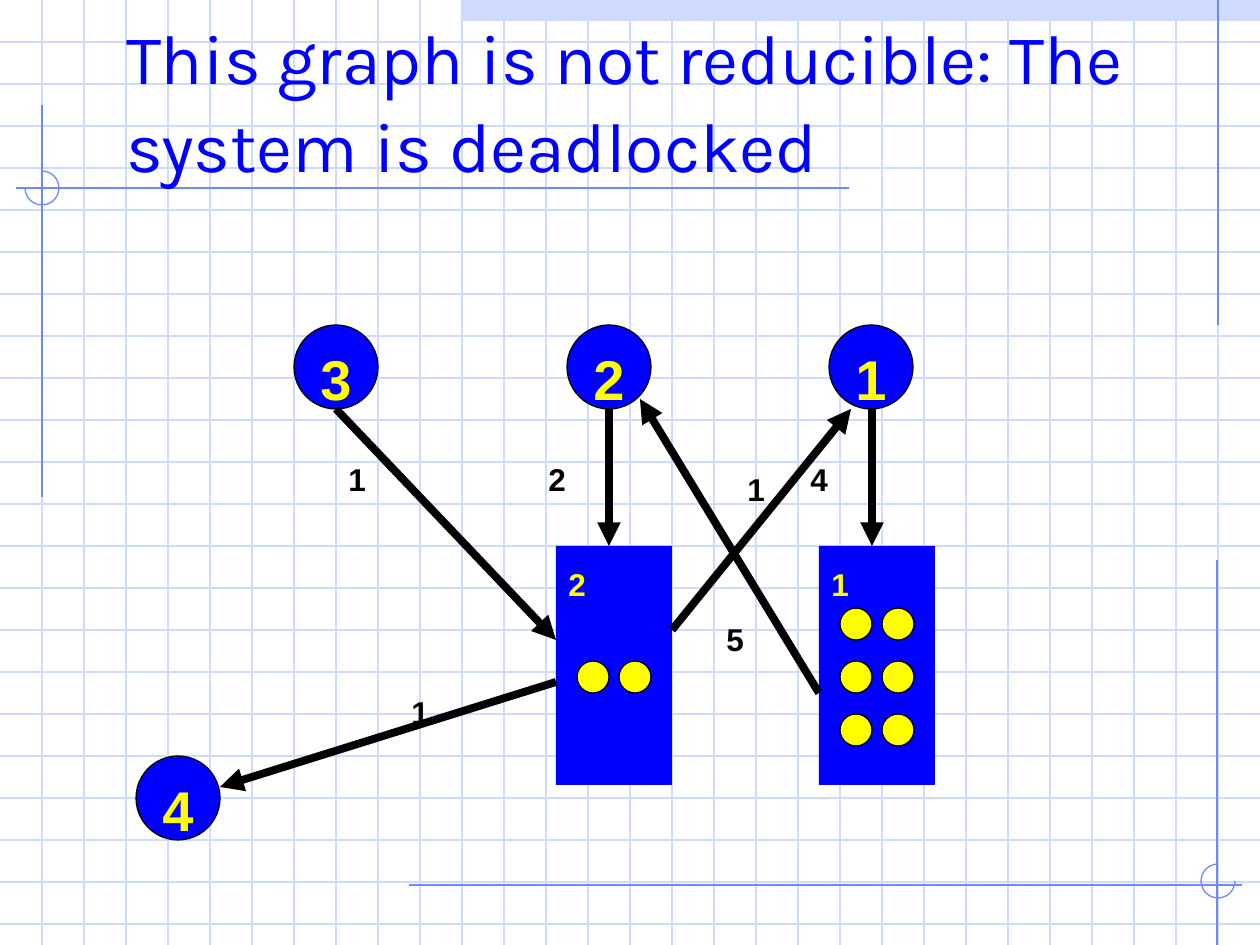
from lxml.etree import SubElement
from pptx import Presentation
from pptx.dml.color import RGBColor
from pptx.enum.shapes import MSO_CONNECTOR as Connector, MSO_SHAPE as Shape
from pptx.enum.text import MSO_ANCHOR as Anchor, MSO_AUTO_SIZE as AutoSize, PP_ALIGN as Align
from pptx.oxml.ns import qn
from pptx.util import Pt

SCALE = 914400 / 126
WIDTH, HEIGHT, CELL = 1260, 945, 42
BLUE, YELLOW, BLACK, PALE, RULE = "0000FF", "FFFF00", "000000", "CFDBFD", "6F89F7"

TITLE = "This graph is not reducible: The system is deadlocked"
BAND = (461, 0, 799, 21)
RULES = [
    ((1218, 0), (1218, 325)),
    ((42, 105), (42, 497)),
    ((849, 188), (16, 188)),
    ((409, 885), (1242, 885)),
    ((1217, 560), (1217, 945)),
]
CORNER_ARCS = [((25, 171), 270, 180), ((1201, 864), 0, 270)]
ARC_SIZE = 34

PROCESSES = [("1", 829, 325), ("2", 567, 325), ("3", 294, 325), ("4", 136, 756)]
PROCESS_SIZE = 84
RESOURCES = [("1", 819, 546, (0, 1, 2)), ("2", 556, 546, (1,))]
RESOURCE_SIZE = (116, 239)
UNIT_SIZE, UNIT_LEFT, UNIT_TOP, UNIT_STEP_X, UNIT_STEP_Y = 32, 21, 62, 42, 53
LABELS = [
    ("4", 798, 441, 63),
    ("2", 536, 441, 63),
    ("1", 336, 441, 32),
    ("1", 735, 451, 63),
    ("1", 399, 674, 63),
    ("5", 714, 601, 63),
]
LABEL_HEIGHT = 50
ARROWS = [
    ((872, 409), (872, 546)),
    ((609, 409), (609, 546)),
    ((336, 409), (556, 640)),
    ((672, 630), (851, 409)),
    ((556, 682), (220, 787)),
    ((819, 693), (640, 399)),
]


def px(value):
    return round(value * SCALE)


def rgb(color):
    return RGBColor.from_string(color)


def add_shape(slide, kind, left, top, width, height, fill=None, line=None):
    shape = slide.shapes.add_shape(kind, px(left), px(top), px(width), px(height))
    shape.shadow.inherit = False
    if fill:
        shape.fill.solid()
        shape.fill.fore_color.rgb = rgb(fill)
    else:
        shape.fill.background()
    if line:
        shape.line.color.rgb = rgb(line)
        shape.line.width = Pt(0.75)
    else:
        shape.line.fill.background()
    return shape


def add_line(slide, start, end, color, width=0.75, arrow=False):
    line = slide.shapes.add_connector(Connector.STRAIGHT, *map(px, start + end))
    line.line.color.rgb = rgb(color)
    line.line.width = Pt(width)
    properties = line._element.spPr
    if arrow:
        SubElement(properties.find(qn("a:ln")), qn("a:tailEnd"), type="triangle")
    SubElement(properties, qn("a:effectLst"))


def write(box, text, size, color, font="Arial", bold=True, align=Align.LEFT,
          anchor=Anchor.TOP, spacing=1.34, wrap=True):
    frame = box.text_frame
    frame.word_wrap = wrap
    frame.auto_size = AutoSize.NONE
    frame.vertical_anchor = anchor
    para = frame.paragraphs[0]
    para.alignment = align
    para.line_spacing = spacing
    para.space_before = Pt(0)
    span = para.add_run()
    span.text = text
    span.font.name = font
    span.font.size = Pt(size)
    span.font.bold = bold
    span.font.color.rgb = rgb(color)


def draw_background(slide):
    add_shape(slide, Shape.RECTANGLE, *BAND, fill=PALE)
    for y in range(CELL, HEIGHT, CELL):
        add_line(slide, (0, y), (WIDTH, y), PALE)
    for x in range(CELL, WIDTH, CELL):
        add_line(slide, (x, 0), (x, HEIGHT), PALE)
    for start, end in RULES:
        add_line(slide, start, end, RULE)
    for corner, first, last in CORNER_ARCS:
        arc = add_shape(slide, Shape.ARC, *corner, ARC_SIZE, ARC_SIZE, line=RULE)
        arc.adjustments[0] = first * 0.6
        arc.adjustments[1] = last * 0.6


def place_title(slide):
    title = slide.shapes.title
    title.left, title.top, title.width, title.height = map(px, (126, 0, 1071, 198))
    frame = title.text_frame
    frame.margin_left = frame.margin_top = frame.margin_right = frame.margin_bottom = 0
    write(title, TITLE, 40, BLUE, "Karla", False, anchor=Anchor.MIDDLE, spacing=1.04)
    slide.shapes._spTree.append(title._element)


def draw_graph(slide):
    for name, left, top in PROCESSES:
        process = add_shape(slide, Shape.OVAL, left, top, PROCESS_SIZE, PROCESS_SIZE, BLUE, BLACK)
        write(process, name, 32, YELLOW, align=Align.CENTER, anchor=Anchor.MIDDLE, wrap=False)
    for name, left, top, rows in RESOURCES:
        resource = add_shape(slide, Shape.RECTANGLE, left, top, *RESOURCE_SIZE, fill=BLUE)
        write(resource, name, 18, YELLOW)
        for row in rows:
            for column in range(2):
                add_shape(slide, Shape.OVAL, left + UNIT_LEFT + column * UNIT_STEP_X,
                          top + UNIT_TOP + row * UNIT_STEP_Y, UNIT_SIZE, UNIT_SIZE, YELLOW, BLACK)
    for text, left, top, width in LABELS:
        box = slide.shapes.add_textbox(px(left), px(top), px(width), px(LABEL_HEIGHT))
        write(box, text, 18, BLACK)
    for start, end in ARROWS:
        add_line(slide, start, end, BLACK, 4.5, arrow=True)


def main():
    deck = Presentation()
    deck.slide_width, deck.slide_height = px(WIDTH), px(HEIGHT)
    page = deck.slides.add_slide(deck.slide_layouts[5])
    draw_background(page)
    place_title(page)
    draw_graph(page)
    deck.save("out.pptx")


if __name__ == "__main__":
    main()
